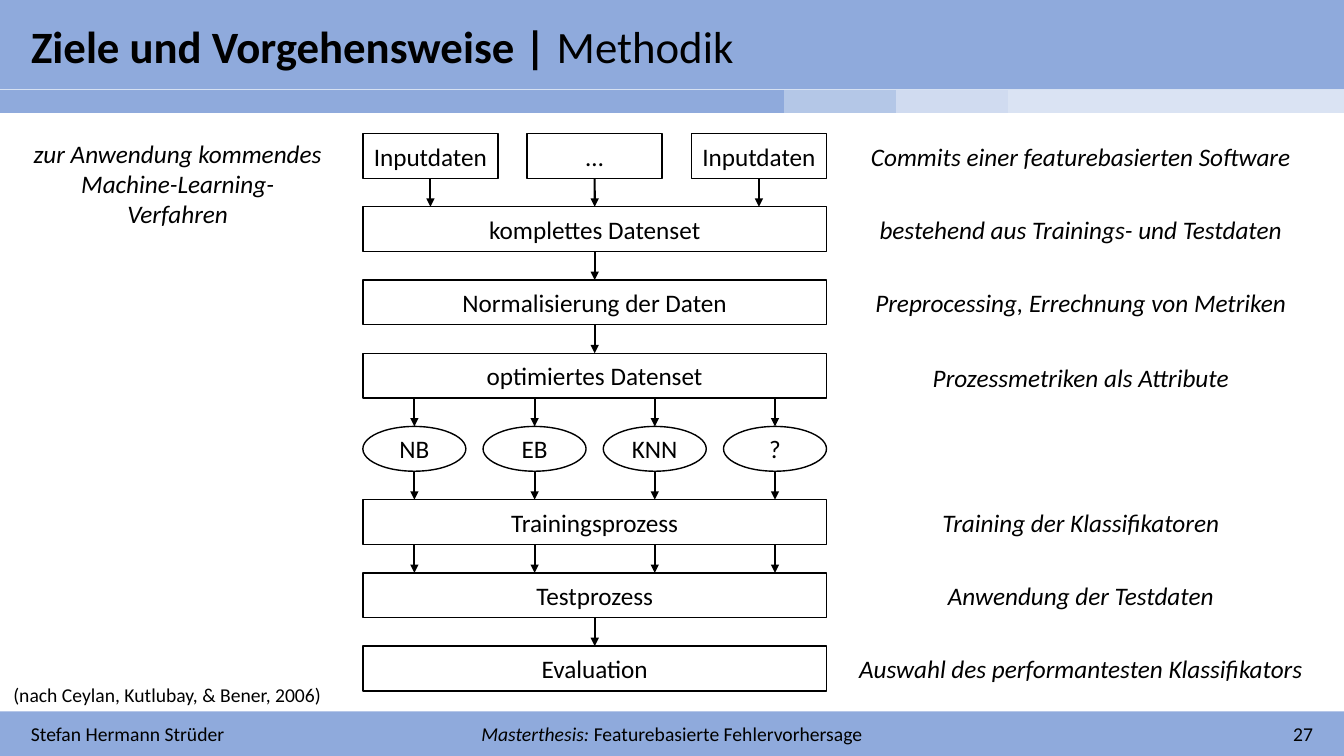
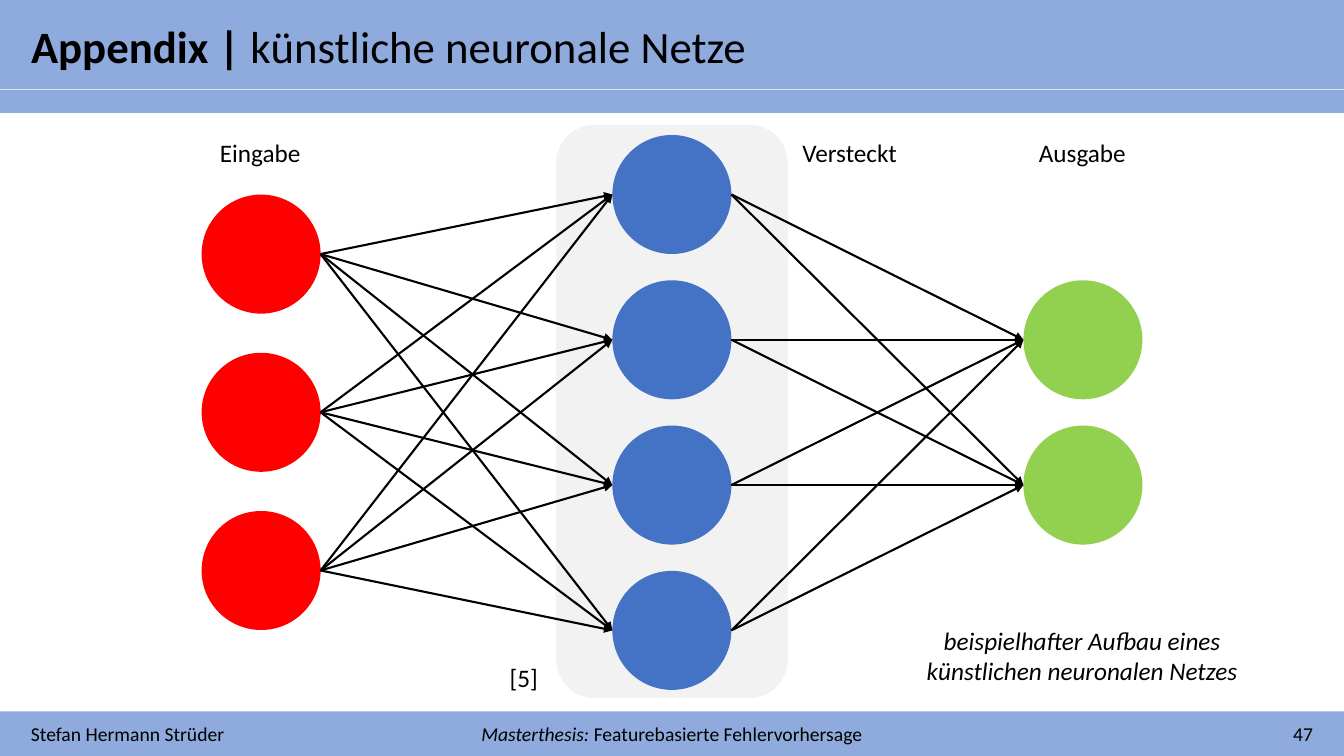
from itertools import product

from lxml.etree import SubElement
from pptx import Presentation
from pptx.dml.color import RGBColor
from pptx.enum.shapes import MSO_CONNECTOR as Connector
from pptx.enum.shapes import MSO_SHAPE as Shape
from pptx.enum.text import MSO_ANCHOR as Anchor
from pptx.enum.text import MSO_AUTO_SIZE as AutoSize
from pptx.enum.text import PP_ALIGN as Align
from pptx.oxml.ns import qn
from pptx.util import Pt

BLACK = RGBColor(0x00, 0x00, 0x00)
WHITE = RGBColor(0xFF, 0xFF, 0xFF)
BAND = RGBColor(0x8F, 0xAA, 0xDC)
BAND_LIGHT = RGBColor(0xB4, 0xC7, 0xE7)
BAND_LIGHTER = RGBColor(0xD0, 0xDB, 0xF0)
BAND_LIGHTEST = RGBColor(0xDA, 0xE3, 0xF3)
PANEL = RGBColor(0xF2, 0xF2, 0xF2)
RED = RGBColor(0xFF, 0x00, 0x00)
BLUE = RGBColor(0x44, 0x72, 0xC4)
GREEN = RGBColor(0x92, 0xD0, 0x50)
FONT = "Calibri"
NO_TABLE_STYLE = "{2D5ABB26-0587-4C30-8999-92F81FD0307C}"
SLIDE_WIDTH, SLIDE_HEIGHT = 960, 540


def add_box(slide, left, top, width, height, kind=None, fill=None, line=None):
    frame = Pt(left), Pt(top), Pt(width), Pt(height)
    if kind is None:
        return slide.shapes.add_textbox(*frame)
    shape = slide.shapes.add_shape(kind, *frame)
    shape.shadow.inherit = False
    shape.fill.solid()
    shape.fill.fore_color.rgb = fill
    if line is None:
        shape.line.fill.background()
    else:
        shape.line.color.rgb = line
        shape.line.width = Pt(1)
    return shape


def write_text(shape, text, size=18, bold=False, italic=False,
               align=Align.LEFT, anchor=Anchor.MIDDLE):
    frame = shape.text_frame
    frame.word_wrap = True
    frame.auto_size = AutoSize.NONE
    frame.vertical_anchor = anchor
    for index, line in enumerate(text.split("\n")):
        paragraph = frame.add_paragraph() if index else frame.paragraphs[0]
        paragraph.alignment = align
        run = paragraph.add_run()
        run.text = line
        run.font.name = FONT
        run.font.size = Pt(size)
        run.font.bold = bold
        run.font.italic = italic
        run.font.color.rgb = BLACK


presentation = Presentation()
presentation.slide_width = Pt(SLIDE_WIDTH)
presentation.slide_height = Pt(SLIDE_HEIGHT)

pages = [
    ("Ziele und Vorgehensweise | ", "Methodik", "27",
     [(240, BAND), (120, BAND), (120, BAND), (80, BAND),
      (80, BAND_LIGHT), (80, BAND_LIGHTER), (240, BAND_LIGHTEST)]),
    ("Appendix | ", "künstliche neuronale Netze", "47", [(320, BAND)] * 3),
]
slides = []
for section, topic, number, progress in pages:
    slide = presentation.slides.add_slide(presentation.slide_layouts[5])
    slides.append(slide)
    add_box(slide, 0, 0, SLIDE_WIDTH, 63.8, Shape.RECTANGLE, BAND)
    add_box(slide, 0, 508.2, SLIDE_WIDTH, 31.8, Shape.RECTANGLE, BAND)

    title = slide.shapes.title
    title.left, title.top, title.width, title.height = Pt(15), Pt(9.4), Pt(800), Pt(46)
    write_text(title, section, size=32, bold=True)
    write_text(title, topic, size=32)
    slide.shapes._spTree.append(title._element)

    author = add_box(slide, 15, 512, 258, 24.5)
    write_text(author, "Stefan Hermann Strüder", size=14)
    thesis = add_box(slide, 333, 512, 294, 24.5)
    write_text(thesis, "Masterthesis: ", size=14, italic=True, align=Align.CENTER)
    write_text(thesis, "Featurebasierte Fehlervorhersage", size=14, align=Align.CENTER)
    page_number = add_box(slide, 687, 512, 258, 24.5)
    write_text(page_number, number, size=14, align=Align.RIGHT)

    table = slide.shapes.add_table(1, len(progress), 0, Pt(64.3), Pt(SLIDE_WIDTH), Pt(16.2)).table
    table.first_row = table.horz_banding = False
    table._tbl.tblPr.find(qn("a:tableStyleId")).text = NO_TABLE_STYLE
    for column, cell, (width, color) in zip(table.columns, table.rows[0].cells, progress):
        column.width = Pt(width)
        cell.margin_top = cell.margin_bottom = 0
        cell.fill.solid()
        cell.fill.fore_color.rgb = color
        cell.text_frame.paragraphs[0]._p.get_or_add_endParaRPr().set("sz", "800")

method_slide, network_slide = slides
arrows = []

FLOW_LEFT, FLOW_WIDTH, FLOW_TOP = 259.2, 331.2, 95.4
ROW_PITCH, ROW_HEIGHT = 52.3, 32
INPUT_WIDTH, CLASSIFIER_WIDTH = 96.5, 73.6
flow_center = FLOW_LEFT + FLOW_WIDTH / 2

steps = {}
for row, text in [(1, "komplettes Datenset"), (2, "Normalisierung der Daten"),
                  (3, "optimiertes Datenset"), (5, "Trainingsprozess"),
                  (6, "Testprozess"), (7, "Evaluation")]:
    steps[row] = add_box(method_slide, FLOW_LEFT, FLOW_TOP + row * ROW_PITCH, FLOW_WIDTH,
                         ROW_HEIGHT, Shape.RECTANGLE, WHITE, BLACK)
    write_text(steps[row], text, align=Align.CENTER)

for index, text in enumerate(["Inputdaten", "…", "Inputdaten"]):
    left = FLOW_LEFT + index * (FLOW_WIDTH - INPUT_WIDTH) / 2
    input_box = add_box(method_slide, left, FLOW_TOP, INPUT_WIDTH, ROW_HEIGHT,
                        Shape.RECTANGLE, WHITE, BLACK)
    write_text(input_box, text, align=Align.CENTER)
    center = left + INPUT_WIDTH / 2
    target = steps[1] if index == 1 else None
    arrows.append((method_slide, center, FLOW_TOP + ROW_HEIGHT,
                   center, FLOW_TOP + ROW_PITCH, input_box, target))

for row in (1, 2, 6):
    arrows.append((method_slide, flow_center, FLOW_TOP + row * ROW_PITCH + ROW_HEIGHT,
                   flow_center, FLOW_TOP + (row + 1) * ROW_PITCH, steps[row], steps[row + 1]))

for index, text in enumerate(["NB", "EB", "KNN", "?"]):
    left = FLOW_LEFT + index * (FLOW_WIDTH - CLASSIFIER_WIDTH) / 3
    classifier = add_box(method_slide, left, FLOW_TOP + 4 * ROW_PITCH, CLASSIFIER_WIDTH,
                         ROW_HEIGHT, Shape.OVAL, WHITE, BLACK)
    write_text(classifier, text, align=Align.CENTER)
    center = left + CLASSIFIER_WIDTH / 2
    for row in (3, 4, 5):
        arrows.append((method_slide, center, FLOW_TOP + row * ROW_PITCH + ROW_HEIGHT,
                       center, FLOW_TOP + (row + 1) * ROW_PITCH, None, None))

for row, text in [(0, "Commits einer featurebasierten Software"),
                  (1, "bestehend aus Trainings- und Testdaten"),
                  (2, "Preprocessing, Errechnung von Metriken"),
                  (3.03, "Prozessmetriken als Attribute"),
                  (5, "Training der Klassifikatoren"),
                  (6, "Anwendung der Testdaten"),
                  (7, "Auswahl des performantesten Klassifikators")]:
    caption = add_box(method_slide, 597, FLOW_TOP + row * ROW_PITCH, 350, ROW_HEIGHT)
    write_text(caption, text, italic=True, align=Align.CENTER)

procedure = add_box(method_slide, 5, 95, 244, 73)
write_text(procedure, "zur Anwendung kommendes\nMachine-Learning-\nVerfahren",
           italic=True, align=Align.CENTER, anchor=Anchor.TOP)
citation = add_box(method_slide, 0, 484, 236.6, 24.5)
write_text(citation, "(nach Ceylan, Kutlubay, & Bener, 2006)", size=14, align=Align.RIGHT)

NEURON = 85
add_box(network_slide, 397.2, 89.2, 165.6, 409.5, Shape.ROUNDED_RECTANGLE, PANEL)
layers = []
for left, top, pitch, count, color in [(144, 139, 113, 3, RED),
                                       (437.4, 96.4, 103.8, 4, BLUE),
                                       (731, 200.2, 103.8, 2, GREEN)]:
    tops = [top + index * pitch for index in range(count)]
    layers.append((left, tops))
    for neuron_top in tops:
        add_box(network_slide, left, neuron_top, NEURON, NEURON, Shape.OVAL, color)

for (left, tops), (next_left, next_tops) in zip(layers, layers[1:]):
    for top, next_top in product(tops, next_tops):
        arrows.append((network_slide, left + NEURON, top + NEURON / 2,
                       next_left, next_top + NEURON / 2, None, None))

for left, top, text in [(150, 94.5, "Eingabe"), (566, 94.5, "Versteckt"),
                        (735, 94.5, "Ausgabe"), (357, 469.5, "[5]")]:
    label = add_box(network_slide, left, top, 100, 29)
    write_text(label, text, anchor=Anchor.TOP)
description = add_box(network_slide, 643, 443, 260, 51)
write_text(description, "beispielhafter Aufbau eines\nkünstlichen neuronalen Netzes",
           italic=True, align=Align.CENTER, anchor=Anchor.TOP)

for slide, start_x, start_y, end_x, end_y, source, target in arrows:
    arrow = slide.shapes.add_connector(Connector.STRAIGHT, Pt(start_x), Pt(start_y),
                                       Pt(end_x), Pt(end_y))
    if source is not None:
        arrow.begin_connect(source, 2)
    if target is not None:
        arrow.end_connect(target, 0)
    arrow.line.color.rgb = BLACK
    arrow.line.width = Pt(1.5)
    properties = arrow._element.spPr
    SubElement(properties.find(qn("a:ln")), qn("a:tailEnd"), type="triangle")
    SubElement(properties, qn("a:effectLst"))

presentation.save("out.pptx")
